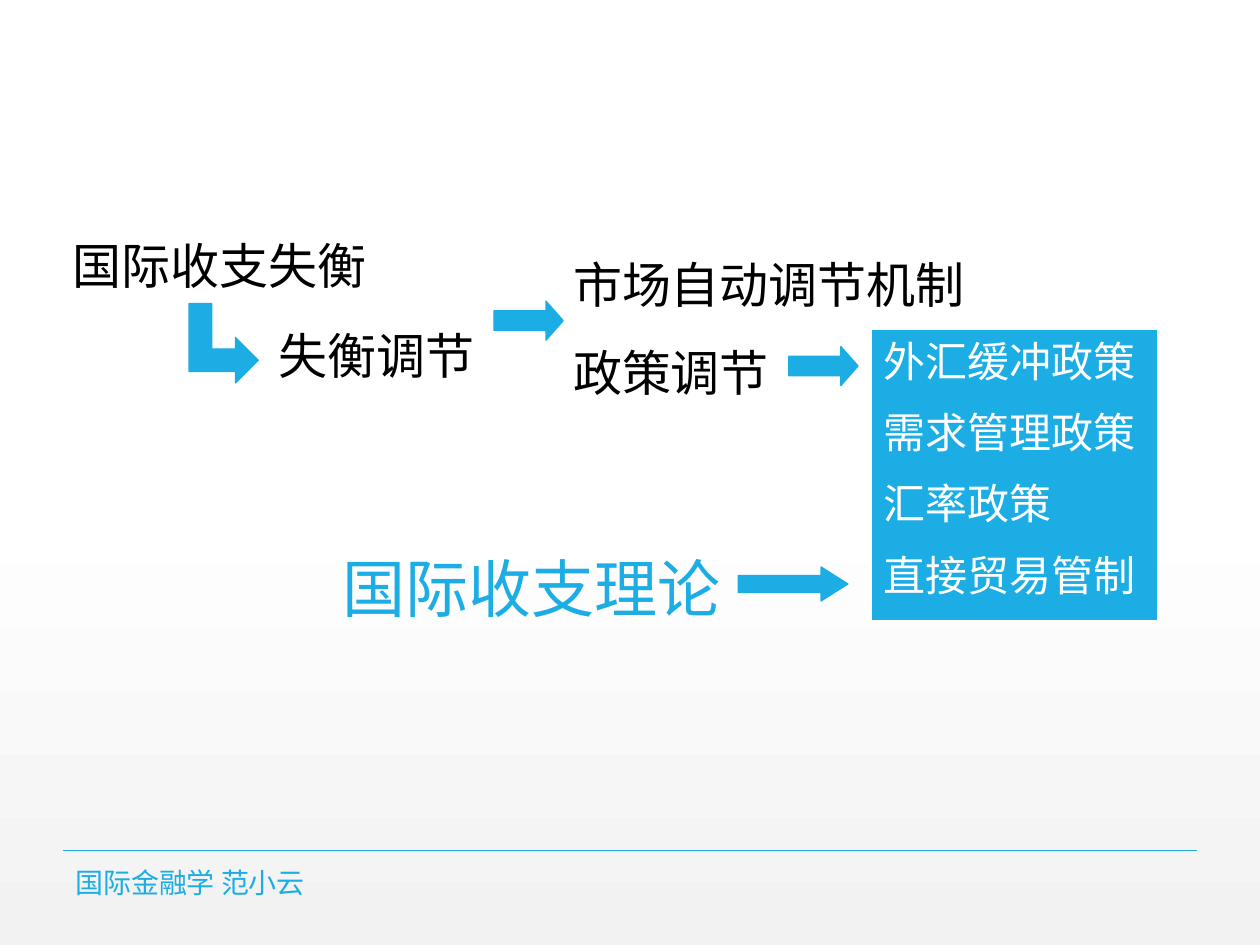
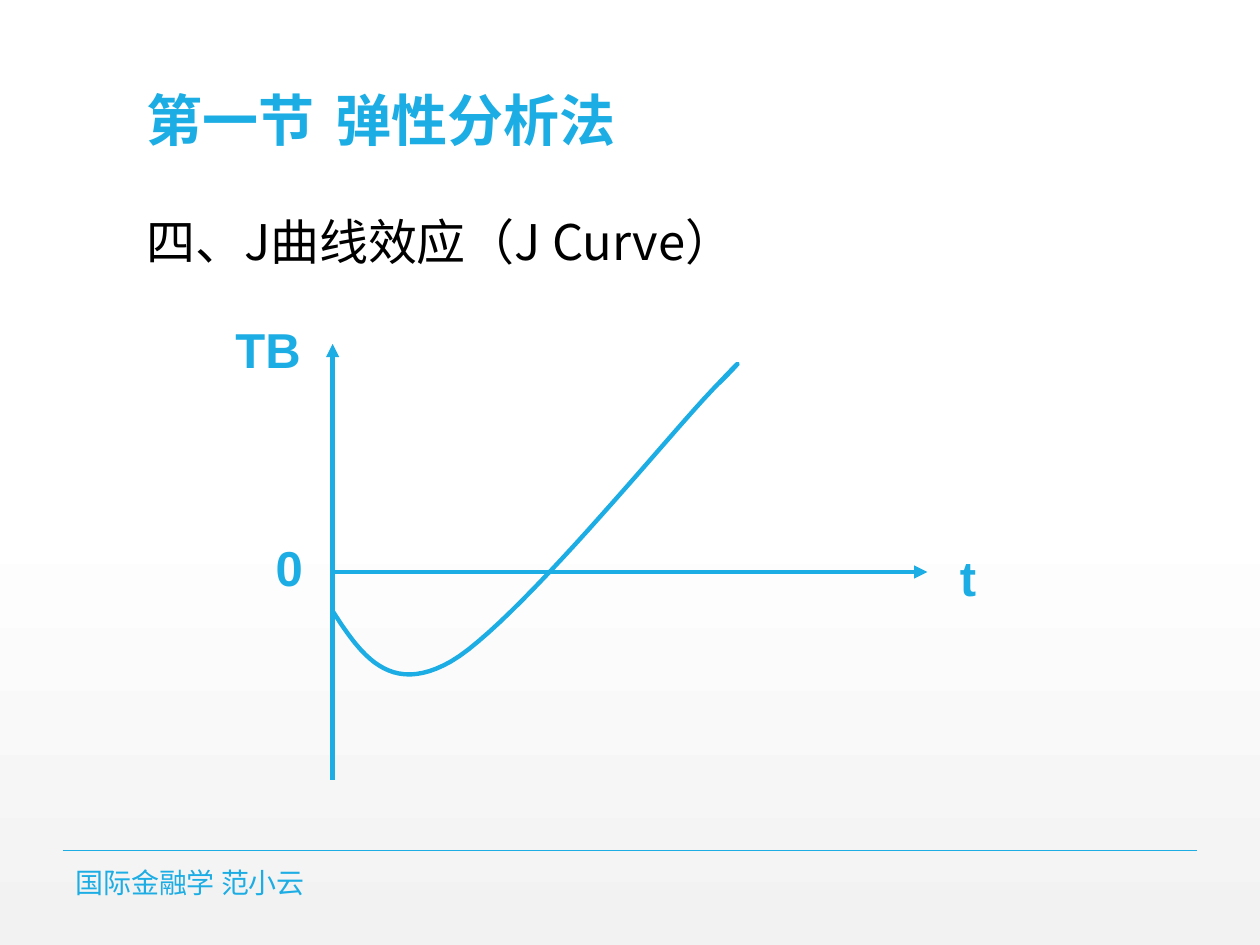
import pptx
import pptx.util
import pptx.dml.color
import pptx.enum.shapes
import pptx.enum.text
import pptx.oxml
import pptx.oxml.ns

BLUE = pptx.dml.color.RGBColor(0x1C, 0xAD, 0xE4)
BLACK = pptx.dml.color.RGBColor(0, 0, 0)
WHITE = pptx.dml.color.RGBColor(255, 255, 255)
GREY = pptx.dml.color.RGBColor(0xF2, 0xF2, 0xF2)
HAN, LATIN = "Noto Sans CJK SC", "Arial"
ANCHOR = pptx.enum.text.MSO_ANCHOR
SHAPE = pptx.enum.shapes.MSO_SHAPE

# Content; places are in cells of a 100 x 75 grid: left, top, width, height
COLS, ROWS = 100, 75
FOOTER = "国际金融学 范小云"
TITLE = "第一节\t弹性分析法"
TOPIC = "四、J曲线效应（J Curve）"
FLOW_TEXTS = [
    # lines, place, anchor, line spacing
    (["国际收支失衡"], (4.8, 17.7, 26.8, 6.2), ANCHOR.BOTTOM, 0.9),
    (["失衡调节"], (21.1, 23.7, 18.1, 9), ANCHOR.MIDDLE, None),
    (["市场自动调节机制", "政策调节"], (44.5, 18.6, 33.9, 12.5), ANCHOR.MIDDLE, 1.5),
]
POLICIES = ["外汇缓冲政策", "需求管理政策", "汇率政策", "直接贸易管制"]
POLICY_BOX = (69.1, 26.1, 22.8, 23.2)
THEORY = ("国际收支理论", (26.2, 43.1, 32.3, 7))
FLOW_ARROWS = [  # place, head length as a share of the height
    ((39.2, 23.9, 5.5, 3.1), 0.44),
    ((62.6, 27.5, 5.5, 3.1), 0.44),
    ((58.6, 45, 8.7, 2.7), 0.79),
]
BENT_ARROW = [(20.5, 28.6), (18.7, 26.8), (18.7, 27.7), (16.8, 27.7), (16.8, 24.1),
              (15, 24.1), (15, 29.5), (18.7, 29.5), (18.7, 30.4)]
AXES = [((26.4, 61.9), (26.4, 27.3)), ((26.4, 45.4), (73.6, 45.4))]
AXIS_LABELS = [("TB", (17.7, 24.9, 7.9, 5.7)), ("t", (75.2, 43, 4.7, 5.7)),
               ("0", (20.9, 42.2, 4.7, 5.7))]
J_START = (26.4, 48.5)
J_BEZIERS = [  # two controls and an end point each
    ((28.6, 51.9), (30.9, 55.3), (35.8, 52.5)),
    ((40.8, 49.6), (52.8, 34.9), (56.3, 31.2)),
    ((59.8, 27.5), (58.5, 29), (57.1, 30.4)),
]

prs = pptx.Presentation()
prs.slide_width, prs.slide_height = pptx.util.Inches(10), pptx.util.Inches(7.5)


def grid(*cells):
    """Turn alternating column and row counts into slide lengths."""
    steps = (prs.slide_width / COLS, prs.slide_height / ROWS)
    return [round(c * steps[i % 2]) for i, c in enumerate(cells)]


def sub(parent, tag, **attrs):
    el = pptx.oxml.ns.qn(tag)
    el = parent.makeelement(el, attrs)
    parent.append(el)
    return el


def add_run(p, text, size, color, font=HAN, bold=False):
    r = p.add_run()
    r.text = text
    r.font.size, r.font.bold, r.font.name = pptx.util.Pt(size), bold, font
    r.font.color.rgb = color
    sub(r._r.get_or_add_rPr(), "a:ea", typeface=HAN)


def half_line_before(p):
    spc = sub(p._p.get_or_add_pPr(), "a:spcBef")
    sub(spc, "a:spcPct", val="50000")


def add_text(slide, place, anchor=ANCHOR.TOP):
    tf = slide.shapes.add_textbox(*grid(*place)).text_frame
    tf.word_wrap, tf.vertical_anchor = True, anchor
    return tf.paragraphs[0]


def paint(sp, fill=BLUE, line=BLUE, width=0.75):
    sp.shadow.inherit = False
    if fill is None:
        sp.fill.background()
    else:
        sp.fill.solid()
        sp.fill.fore_color.rgb = fill
    sp.line.color.rgb = line
    sp.line.width = pptx.util.Pt(width)


def add_line(slide, start, end, width, arrow=False):
    line = slide.shapes.add_connector(
        pptx.enum.shapes.MSO_CONNECTOR.STRAIGHT, *grid(*start, *end))
    line.line.color.rgb = BLUE
    line.line.width = pptx.util.Pt(width)
    if arrow:
        sub(line.line._get_or_add_ln(), "a:tailEnd", type="triangle")
    sub(line._element.spPr, "a:effectLst")


def add_outline(slide, points, close):
    emu = [grid(*pt) for pt in points]
    builder = slide.shapes.build_freeform(*emu[0])
    builder.add_line_segments(emu[1:], close=close)
    return builder.convert_to_shape()


def add_slide(layout):
    slide = prs.slides.add_slide(prs.slide_layouts[layout])
    add_line(slide, (5, 67.5), (95, 67.5), 1)
    add_run(add_text(slide, (5, 68.8, 50.3, 2.4), ANCHOR.MIDDLE), FOOTER, 16, BLUE)
    return slide


def fill_placeholder(sp, place, text, size, color, spacing, anchor, **style):
    sp.left, sp.top, sp.width, sp.height = grid(*place)
    tf = sp.text_frame
    tf.auto_size = pptx.enum.text.MSO_AUTO_SIZE.NONE
    tf.vertical_anchor = anchor
    p = tf.paragraphs[0]
    p.alignment = pptx.enum.text.PP_ALIGN.LEFT
    p.line_spacing = spacing
    add_run(p, text, size, color, **style)
    return p


def bezier(p0, p1, p2, p3, steps=24):
    for t in (i / steps for i in range(1, steps + 1)):
        u = 1 - t
        yield tuple(u**3 * a + 3 * u * u * t * b + 3 * u * t * t * c + t**3 * d
                    for a, b, c, d in zip(p0, p1, p2, p3))


# Shared background
bg = prs.slide_master.background.fill
bg.gradient()
bg.gradient_angle = 270
for stop, (pos, color) in zip(bg.gradient_stops, [(0.53, WHITE), (1, GREY)]):
    stop.position, stop.color.rgb = pos, color

# Slide 1: from imbalance to adjustment policies
slide = add_slide(6)
for lines, place, anchor, spacing in FLOW_TEXTS:
    p = add_text(slide, place, anchor)
    p.line_spacing = spacing
    for i, text in enumerate(lines):
        if i:
            p.add_line_break()
        add_run(p, text, 28, BLACK)
paint(add_outline(slide, BENT_ARROW, close=True))
for place, head in FLOW_ARROWS:
    sp = slide.shapes.add_shape(SHAPE.RIGHT_ARROW, *grid(*place))
    sp.adjustments[1] = head
    paint(sp)

box = slide.shapes.add_shape(SHAPE.RECTANGLE, *grid(*POLICY_BOX))
paint(box, line=WHITE, width=1.5)
tf = box.text_frame
tf.vertical_anchor = ANCHOR.TOP
for i, policy in enumerate(POLICIES):
    p = tf.add_paragraph() if i else tf.paragraphs[0]
    p.alignment = pptx.enum.text.PP_ALIGN.LEFT
    half_line_before(p)
    add_run(p, policy, 24, WHITE)

text, place = THEORY
p = add_text(slide, place)
half_line_before(p)
add_run(p, text, 36, BLUE)

# Slide 2: J curve
slide = add_slide(1)
fill_placeholder(slide.shapes.title, (10.6, 0.2, 78.8, 12.5), TITLE, 32, BLUE, 0.9,
                 ANCHOR.BOTTOM, font=LATIN, bold=True)
p = fill_placeholder(slide.placeholders[1], (10.6, 15.8, 78.8, 49.9), TOPIC, 28, BLACK,
                     1.1, ANCHOR.TOP)
p.space_before = pptx.util.Pt(10)
pPr = p._p.get_or_add_pPr()
pPr.set("marL", "0")
pPr.set("indent", "0")
sub(pPr, "a:buNone")

for start, end in AXES:
    add_line(slide, start, end, 2.5, arrow=True)
for text, place in AXIS_LABELS:
    p = add_text(slide, place)
    half_line_before(p)
    add_run(p, text, 28, BLUE, LATIN, True)

curve = [J_START]
for controls in J_BEZIERS:
    curve += bezier(curve[-1], *controls)
sp = add_outline(slide, curve, close=False)
paint(sp, fill=None, width=2.5)
sp.line._get_or_add_ln().set("cap", "rnd")

prs.save("out.pptx")
